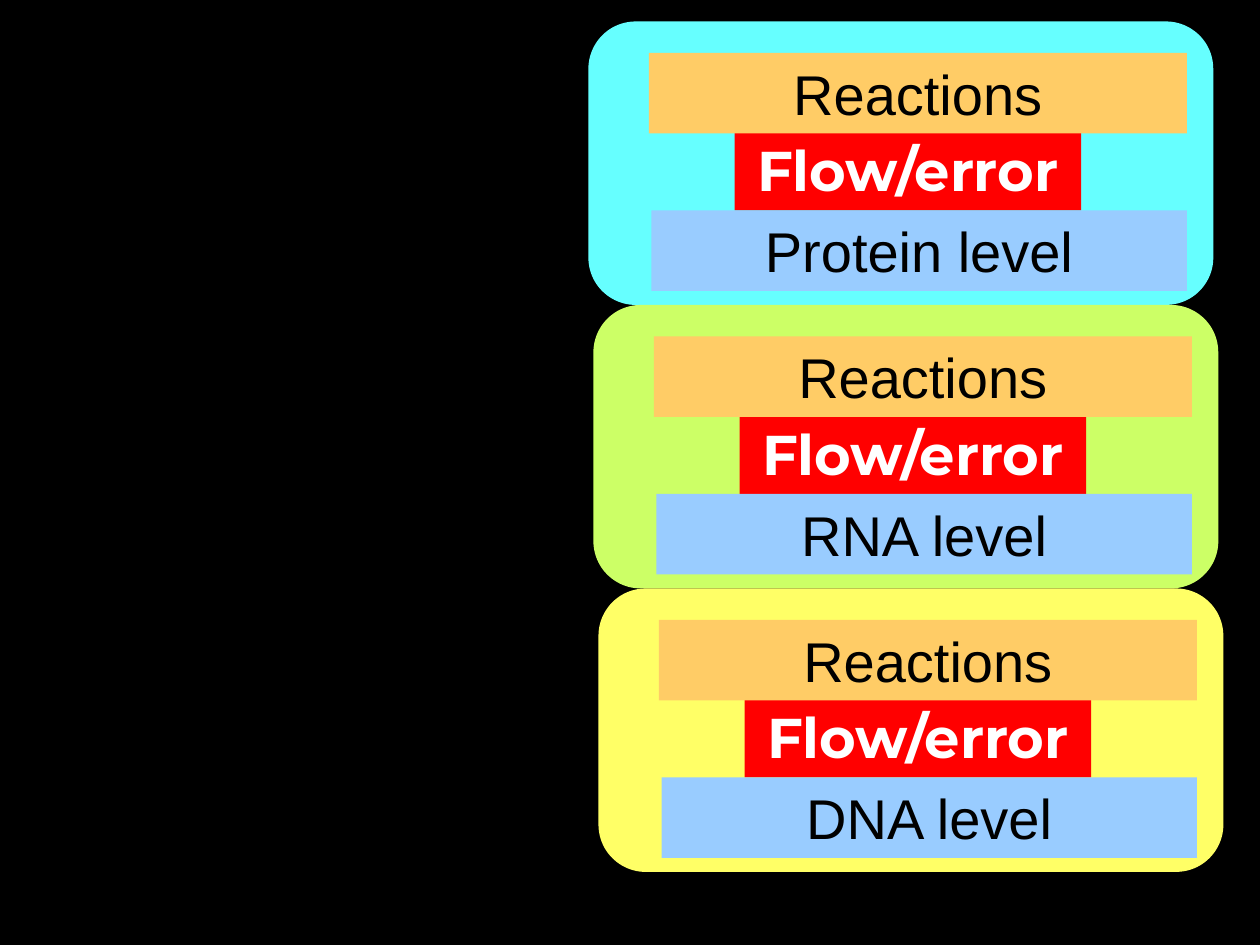
from pptx import Presentation
from pptx.dml.color import RGBColor
from pptx.enum.shapes import MSO_SHAPE
from pptx.enum.text import MSO_ANCHOR, MSO_AUTO_SIZE, PP_ALIGN
from pptx.util import Inches, Pt

RECTANGLE = MSO_SHAPE.RECTANGLE
ROUNDED = MSO_SHAPE.ROUNDED_RECTANGLE
TOP = MSO_ANCHOR.TOP
GROW = MSO_AUTO_SIZE.SHAPE_TO_FIT_TEXT
CENTER = PP_ALIGN.CENTER

PANEL_LEFT, PANEL_TOP = 4.67, 0.17
PANEL_WIDTH, PANEL_HEIGHT = 4.96, 2.25
PANEL_SHIFT = 0.04
BAR_HEIGHT = 0.64
LEVELS = [("Protein level", "66FFFF"), ("RNA level", "CCFF66"), ("DNA level", "FFFF66")]


def color(value):
    return RGBColor.from_string(value)


def add_block(page, kind, left, top, width, height, fill):
    block = page.shapes.add_shape(
        kind, Inches(left), Inches(top), Inches(width), Inches(height)
    )
    block.shadow.inherit = False
    block.fill.solid()
    block.fill.fore_color.rgb = color(fill)
    block.line.fill.background()
    return block


def add_bar(page, left, top, width, fill, text, font_name="Arial", ink="000000", bold=False):
    bar = add_block(page, RECTANGLE, left, top, width, BAR_HEIGHT, fill)
    frame = bar.text_frame
    frame.word_wrap = True
    frame.auto_size = GROW
    frame.vertical_anchor = TOP
    frame.text = text
    para = frame.paragraphs[0]
    para.alignment = CENTER
    font = para.runs[0].font
    font.name = font_name
    font.size = Pt(32)
    font.bold = bold
    font.color.rgb = color(ink)


def add_level_panel(page, left, top, width, height, level, fill):
    panel = add_block(page, ROUNDED, left, top, width, height, fill)
    panel.adjustments[0] = 0.167
    add_bar(page, left + 1.16, top + 0.86, 2.75, "FF0000", "Flow/error",
            "Montserrat", "FFFFFF", True)
    add_bar(page, left + 0.48, top + 0.25, 4.27, "FFCC66", "Reactions")
    add_bar(page, left + 0.5, top + 1.5, 4.25, "99CCFF", level)


def main():
    deck = Presentation()
    deck.slide_width, deck.slide_height = Inches(10), Inches(7.5)
    page = deck.slides.add_slide(deck.slide_layouts[6])
    page.background.fill.solid()
    page.background.fill.fore_color.rgb = color("000000")
    for row, (level, fill) in enumerate(LEVELS):
        add_level_panel(page, PANEL_LEFT + row * PANEL_SHIFT, PANEL_TOP + row * PANEL_HEIGHT,
                        PANEL_WIDTH, PANEL_HEIGHT, level, fill)
    deck.save("out.pptx")


if __name__ == "__main__":
    main()
